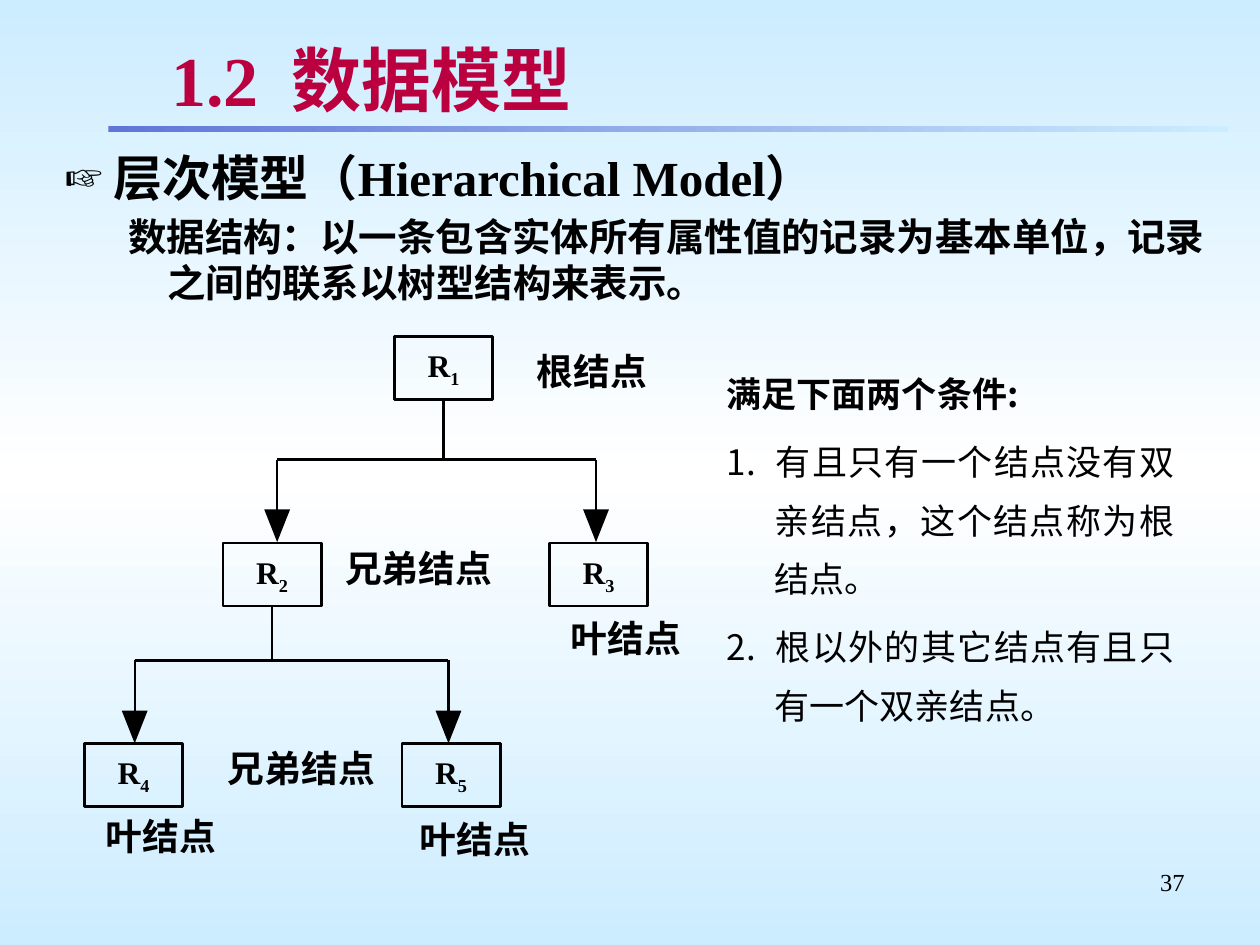
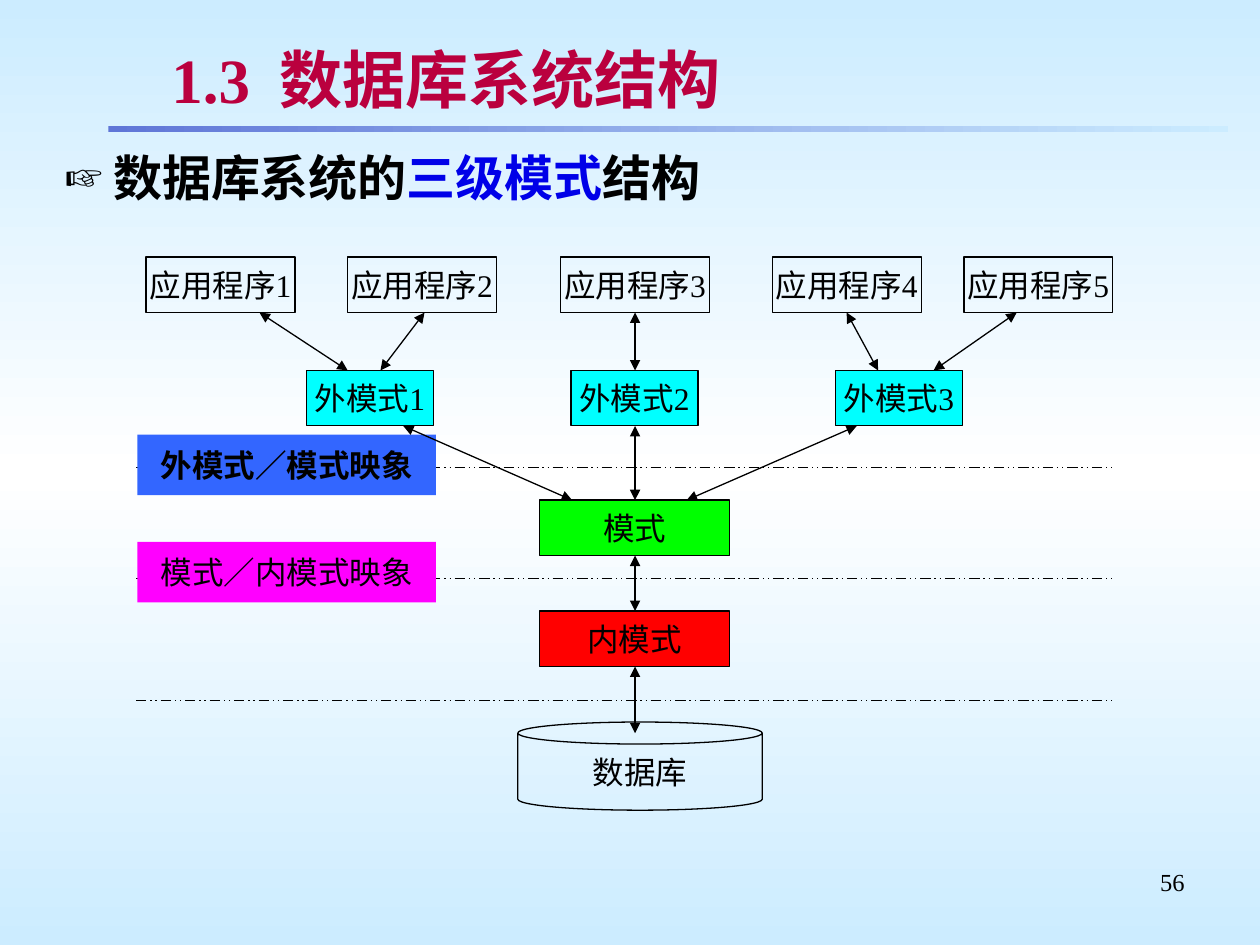
import lxml.etree
import pptx
import pptx.dml.color
import pptx.enum.dml
import pptx.enum.shapes
import pptx.enum.text
import pptx.oxml.ns
import pptx.util

Pt = pptx.util.Pt
qn = pptx.oxml.ns.qn
ALIGN = pptx.enum.text.PP_ALIGN
MIDDLE = pptx.enum.text.MSO_ANCHOR.MIDDLE
SHAPE = pptx.enum.shapes.MSO_SHAPE

COLOURS = {
    "ink": "000000", "title": "BA003E", "accent": "0000E8",
    "sky": "CCECFF", "white": "FFFFFF", "band": "5F76D7",
    "external": "00FFFF", "schema": "00FF00", "internal": "FF0000",
    "upper_map": "3366FF", "lower_map": "FF00FF",
}
SERIF, SANS = "Times New Roman", "Noto Sans CJK SC"

# Content: hierarchical model
MODEL = {
    "title": "1.2\t数据模型", "title_size": 40, "number": "37",
    "heading": [("层次模型（Hierarchical Model）", "ink")],
    "detail": "数据结构：以一条包含实体所有属性值的记录为基本单位，记录之间的联系以树型结构来表示。",
}
NODE_W, NODE_H = 56.2, 36
NODES = [("1", 225.4, 192.2), ("2", 127.4, 310.3), ("3", 313.9, 310.3),
         ("4", 48.2, 424.8), ("5", 229.7, 424.8)]
# stem x, stem top, bar y, drop xs, arrow tip y
BRANCHES = [(253.4, 228.2, 262.6, (158.4, 340.6), 309.8),
            (155.5, 346.3, 377.3, (77, 256.3), 424.8)]
NODE_LABELS = [("根结点", 306.7, 199.4), ("兄弟结点", 197.3, 311.8),
               ("叶结点", 326.2, 352.1), ("兄弟结点", 130.3, 426.2),
               ("叶结点", 60.5, 465.1), ("叶结点", 239.8, 466.6)]
CONDITIONS = ["满足下面两个条件:",
              "1.\t有且只有一个结点没有双亲结点，这个结点称为根结点。",
              "2.\t根以外的其它结点有且只有一个双亲结点。"]

# Content: three-level schema architecture
ARCHITECTURE = {
    "title": "1.3\t数据库系统结构", "title_size": 36, "number": "56",
    "heading": [("数据库系统的", "ink"), ("三级模式", "accent"), ("结构", "ink")],
    "detail": None,
}
LEVEL_H = 31.7
APP_Y, EXTERNAL_Y, SCHEMA_Y, INTERNAL_Y, DATABASE_Y = 146.9, 211.7, 285.8, 349.2, 412.6
APP_XS = [83.5, 198.7, 320.4, 441.4, 550.8]
EXTERNAL_X, EXTERNAL_STEP = 175, 151.2
CENTRE_X = 362.9
LEVEL_LINES = [267.1, 330.5, 400.3]
MAPPINGS = [("外模式／模式映象", 248.4, "upper_map", True),
            ("模式／内模式映象", 309.6, "lower_map", False)]
# top y, bottom y, (top x, bottom x) pairs
LINKS = [
    (APP_Y + LEVEL_H, EXTERNAL_Y, [(148.3, 198.7), (242.6, 217.4), (CENTRE_X, CENTRE_X),
                                   (483.8, 501.8), (581, 533.5)]),
    (EXTERNAL_Y + LEVEL_H, SCHEMA_Y, [(230.4, 326.9), (CENTRE_X, CENTRE_X), (489.6, 392.4)]),
    (SCHEMA_Y + LEVEL_H, INTERNAL_Y, [(CENTRE_X, CENTRE_X)]),
    (INTERNAL_Y + LEVEL_H, 419, [(CENTRE_X, CENTRE_X)]),
]


def rgb(name):
    return pptx.dml.color.RGBColor.from_string(COLOURS[name])


def sub(parent, tag, **attributes):
    return lxml.etree.SubElement(parent, qn(tag), attributes)


def set_gradient(fill, owner, names, angle):
    """Spread the named colours evenly over a gradient fill."""
    fill.gradient()
    fill.gradient_angle = angle
    stops = owner.find(".//" + qn("a:gsLst"))
    for stop in list(stops):
        stops.remove(stop)
    for i, name in enumerate(names):
        stop = sub(stops, "a:gs", pos=str(100000 * i // (len(names) - 1)))
        sub(stop, "a:srgbClr", val=COLOURS[name])


def style_run(run, size, colour="ink", bold=False, font=SERIF):
    run.font.size = Pt(size)
    run.font.bold = bold
    run.font.name = font
    run.font.color.rgb = rgb(colour)
    latin = run._r.rPr.find(qn("a:latin"))
    east_asian = lxml.etree.Element(qn("a:ea"), typeface=SANS)
    latin.addnext(east_asian)


def set_indent(paragraph, left, hanging):
    properties = paragraph._p.get_or_add_pPr()
    properties.set("marL", str(Pt(left)))
    properties.set("indent", str(-Pt(hanging)))
    return properties


def add_text(slide, x, y, w, h, inset=None, wrap=True):
    frame = slide.shapes.add_textbox(Pt(x), Pt(y), Pt(w), Pt(h)).text_frame
    frame.word_wrap = wrap
    if inset is not None:
        frame.margin_left = frame.margin_right = Pt(inset)
        frame.margin_top = frame.margin_bottom = Pt(inset)
    return frame


def add_box(slide, label, x, y, w, h, fill=None, line=0.75, bold=False, kind=SHAPE.RECTANGLE):
    box = slide.shapes.add_shape(kind, Pt(x), Pt(y), Pt(w), Pt(h))
    box.shadow.inherit = False
    if fill:
        box.fill.solid()
        box.fill.fore_color.rgb = rgb(fill)
    else:
        box.fill.background()
    if line:
        box.line.color.rgb = rgb("ink")
        box.line.width = Pt(line)
    else:
        box.line.fill.background()
    frame = box.text_frame
    frame.word_wrap = False
    frame.vertical_anchor = MIDDLE
    paragraph = frame.paragraphs[0]
    paragraph.text = label
    paragraph.alignment = ALIGN.CENTER
    style_run(paragraph.runs[0], 18, bold=bold)
    return paragraph


def add_line(slide, x1, y1, x2, y2, width=0.75, dashed=False, arrows=False):
    line = slide.shapes.add_connector(pptx.enum.shapes.MSO_CONNECTOR.STRAIGHT,
                                      Pt(x1), Pt(y1), Pt(x2), Pt(y2))
    line.line.color.rgb = rgb("ink")
    line.line.width = Pt(width)
    if dashed:
        line.line.dash_style = pptx.enum.dml.MSO_LINE.DASH_DOT_DOT
    properties = line._element.spPr
    if arrows:
        for end in ("a:headEnd", "a:tailEnd"):
            sub(properties.find(qn("a:ln")), end, type="triangle")
    sub(properties, "a:effectLst")


def add_arrowhead(slide, x, tip_y, half_width=7.4, height=18.7):
    builder = slide.shapes.build_freeform(Pt(x - half_width), Pt(tip_y - height))
    builder.add_line_segments([(Pt(x), Pt(tip_y)), (Pt(x + half_width), Pt(tip_y - height))])
    head = builder.convert_to_shape()
    head.shadow.inherit = False
    head.fill.solid()
    head.fill.fore_color.rgb = rgb("ink")
    head.line.fill.background()


def add_title(slide, text, size):
    title = slide.shapes.title
    title.left, title.top, title.width, title.height = Pt(90.7), Pt(20.9), Pt(593.3), Pt(48.2)
    frame = title.text_frame
    frame.text = text
    frame.auto_size = pptx.enum.text.MSO_AUTO_SIZE.NONE
    frame.vertical_anchor = MIDDLE
    frame.margin_top = frame.margin_bottom = Pt(3)
    paragraph = frame.paragraphs[0]
    paragraph.alignment = ALIGN.LEFT
    tabs = sub(paragraph._p.get_or_add_pPr(), "a:tabLst")
    sub(tabs, "a:tab", pos=str(Pt(1.72 * size)), algn="l")
    run = paragraph.runs[0]
    style_run(run, size, "title", True)
    # Soft text shadow
    effects = lxml.etree.Element(qn("a:effectLst"))
    shadow = sub(effects, "a:outerShdw", dist=str(Pt(2)), dir="2700000")
    sub(shadow, "a:srgbClr", val="C0C0C0")
    run._r.rPr.find(qn("a:latin")).addprevious(effects)


def add_slide(prs, content):
    slide = prs.slides.add_slide(prs.slide_layouts[5])
    # Band under the title
    band = slide.shapes.add_shape(SHAPE.RECTANGLE, Pt(61.9), Pt(72), Pt(640), Pt(3.6))
    band.shadow.inherit = False
    band.line.fill.background()
    set_gradient(band.fill, band._element, ("band", "sky"), 0)
    # Slide number
    number = add_text(slide, 516.2, 491.8, 167.8, 37.4).paragraphs[0]
    number.text = content["number"]
    number.alignment = ALIGN.RIGHT
    style_run(number.runs[0], 14)
    add_title(slide, content["title"], content["title_size"])
    # Heading with pointing-hand bullet
    body = add_text(slide, 30.2, 81, 666, 108 if content["detail"] else 43.2)
    heading = body.paragraphs[0]
    heading.line_spacing = Pt(33.4)
    properties = set_indent(heading, 27.4, 27.4)
    sub(sub(properties, "a:buClr"), "a:srgbClr", val=COLOURS["ink"])
    sub(properties, "a:buSzPct", val="95000")
    sub(properties, "a:buFont", typeface=SERIF)
    sub(properties, "a:buChar", char="☞")
    for text, colour in content["heading"]:
        run = heading.add_run()
        run.text = text
        style_run(run, 28, colour, True)
    if content["detail"]:
        detail = body.add_paragraph()
        detail.text = content["detail"]
        detail.line_spacing = Pt(26.3)
        detail.space_before = Pt(4.1)
        set_indent(detail, 58.3, 22.3)
        style_run(detail.runs[0], 22, bold=True)
    return slide


def build_model(prs):
    slide = add_slide(prs, MODEL)
    # Tree branches
    for stem_x, top, bar_y, drops, tip_y in BRANCHES:
        add_line(slide, stem_x, top, stem_x, bar_y, 1.4)
        add_line(slide, drops[0], bar_y, drops[1], bar_y, 1.5)
        for x in drops:
            add_line(slide, x, bar_y, x, tip_y - 17.3, 1.4)
            add_arrowhead(slide, x, tip_y)
    # Tree nodes
    for index, x, y in NODES:
        node = add_box(slide, "R", x, y, NODE_W, NODE_H, line=1.5, bold=True)
        subscript = node.add_run()
        subscript.text = index
        style_run(subscript, 18, bold=True)
        subscript._r.rPr.set("baseline", "-25000")
    for text, x, y in NODE_LABELS:
        frame = add_text(slide, x, y, 21 * len(text), 25.2, inset=0, wrap=False)
        frame.vertical_anchor = MIDDLE
        frame.text = text
        style_run(frame.paragraphs[0].runs[0], 21, bold=True, font=SANS)
    # Conditions
    frame = add_text(slide, 408.2, 200, 270, 288)
    frame.text = "\n".join(CONDITIONS)
    for i, condition in enumerate(frame.paragraphs):
        condition.alignment = ALIGN.JUSTIFY
        condition.line_spacing = Pt(33.4)
        if i:
            condition.space_before = Pt(5.5)
        set_indent(condition, 27.4, 27.4)
        style_run(condition.runs[0], 20, bold=i == 0, font=SANS)


def build_architecture(prs):
    slide = add_slide(prs, ARCHITECTURE)
    # Level dividers and mappings
    for y in LEVEL_LINES:
        add_line(slide, 77.8, y, 635, y, dashed=True)
    for text, y, fill, bold in MAPPINGS:
        add_box(slide, text, 78.5, y, 170.6, 34.6, fill, line=0, bold=bold)
    # Applications, schemas and database
    for i, x in enumerate(APP_XS, 1):
        add_box(slide, f"应用程序{i}", x, APP_Y, 85, LEVEL_H)
    for i in range(3):
        add_box(slide, f"外模式{i + 1}", EXTERNAL_X + i * EXTERNAL_STEP, EXTERNAL_Y,
                72.7, LEVEL_H, "external")
    add_box(slide, "模式", 308.2, SCHEMA_Y, 108.7, LEVEL_H, "schema")
    add_box(slide, "内模式", 308.2, INTERNAL_Y, 108.7, LEVEL_H, "internal")
    add_box(slide, "数据库", 295.9, DATABASE_Y, 139.7, 50.4, kind=SHAPE.CAN)
    # Links between levels
    for top, bottom, pairs in LINKS:
        for top_x, bottom_x in pairs:
            add_line(slide, top_x, top, bottom_x, bottom, arrows=True)


def main():
    prs = pptx.Presentation()
    prs.slide_width, prs.slide_height = Pt(720), Pt(540)
    master = prs.slide_master
    set_gradient(master.background.fill, master._element, ("sky", "white", "sky"), 270)
    build_model(prs)
    build_architecture(prs)
    prs.save("out.pptx")


if __name__ == "__main__":
    main()
